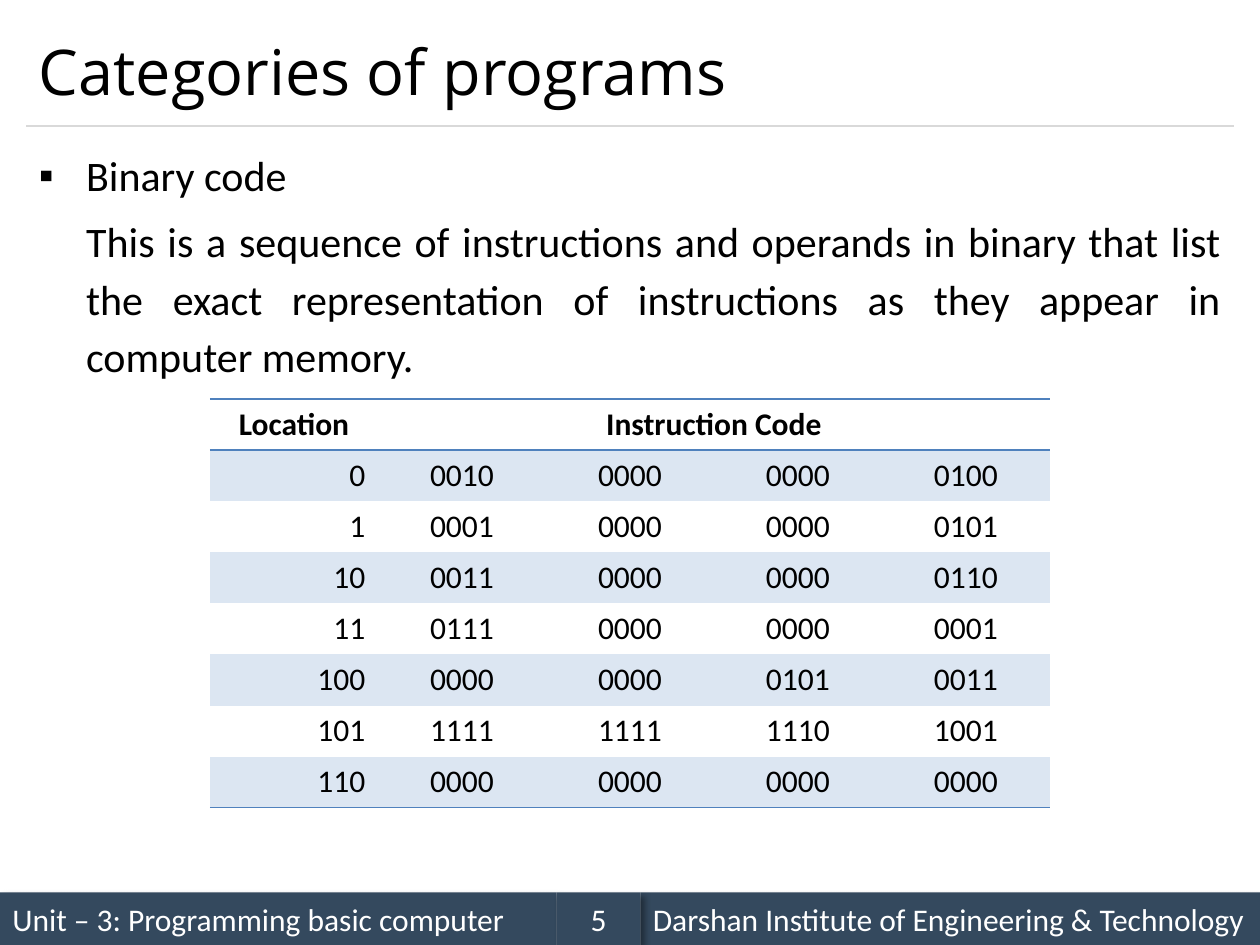
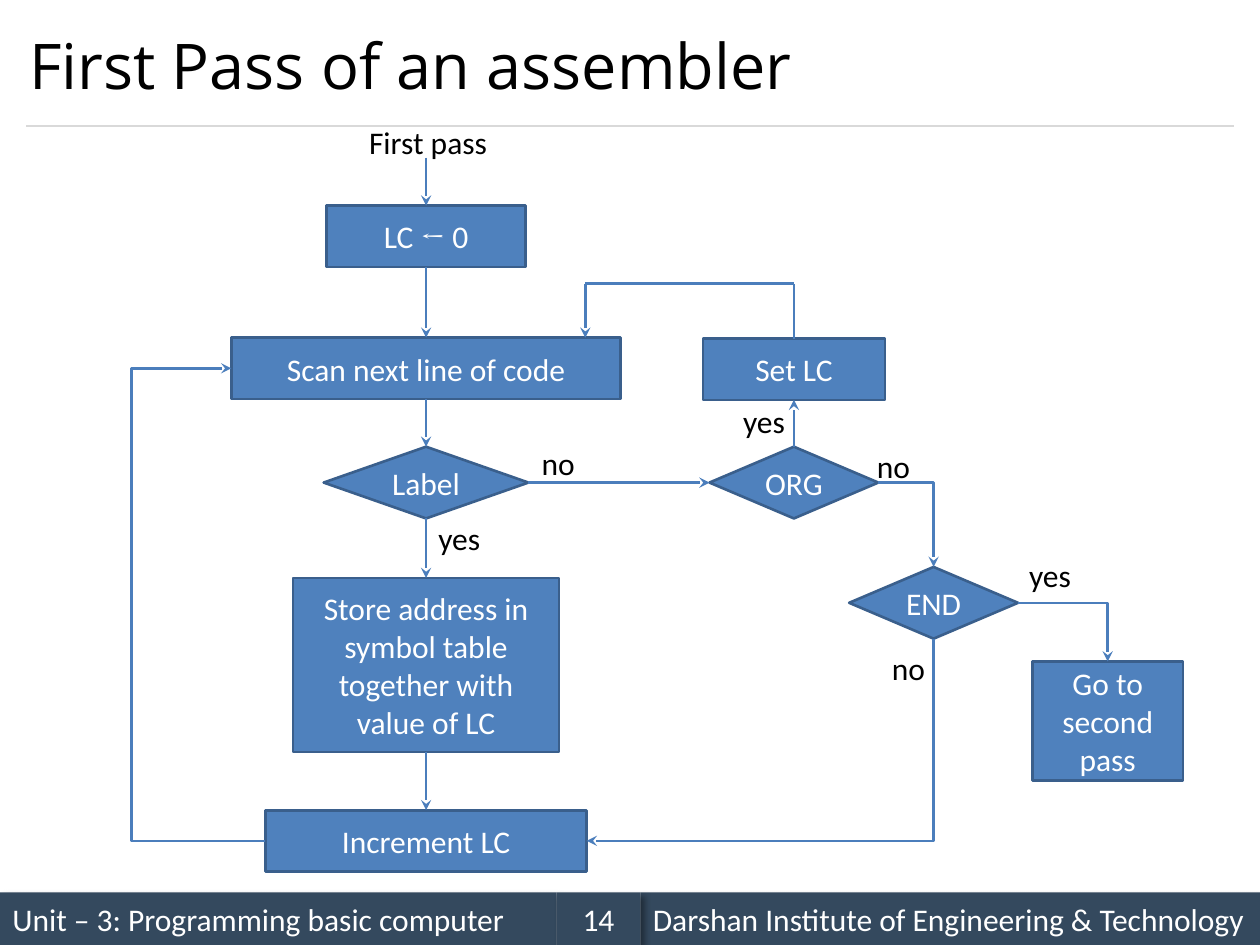
from lxml.etree import SubElement
from pptx import Presentation
from pptx.dml.color import RGBColor
from pptx.enum.shapes import MSO_CONNECTOR as Link, MSO_SHAPE as Form
from pptx.enum.text import MSO_ANCHOR as Anchor, MSO_AUTO_SIZE as Auto, PP_ALIGN as Align
from pptx.oxml.ns import qn
from pptx.util import Pt

BLACK = RGBColor(0, 0, 0)
WHITE = RGBColor(255, 255, 255)
NAVY = RGBColor(0x34, 0x49, 0x5E)
GREY = RGBColor(0xD9, 0xD9, 0xD9)
BLUE = RGBColor(0x4F, 0x81, 0xBD)
EDGE = RGBColor(0x3A, 0x5F, 0x8C)
WIRE = RGBColor(0x4B, 0x7E, 0xBC)
PALE = RGBColor(0xDC, 0xE6, 0xF2)

TEXT = "Calibri"
HEAD = "Open Sans"
MATH = "Cambria"
PLAIN = "{2D5ABB26-0587-4C30-8999-92F81FD0307C}"
TOP, LEFT, FOOT, RIGHT = range(4)

UNIT = "Unit – 3: Programming basic computer"
SCHOOL = "Darshan Institute of Engineering & Technology"
STORE = "Store address in symbol table together with value of LC"
ABOUT = ("This is a sequence of instructions and operands in binary that list "
         "the exact representation of instructions as they appear in computer memory.")
CODES = [
    "0 0010 0000 0000 0100",
    "1 0001 0000 0000 0101",
    "10 0011 0000 0000 0110",
    "11 0111 0000 0000 0001",
    "100 0000 0000 0101 0011",
    "101 1111 1111 1110 1001",
    "110 0000 0000 0000 0000",
]

MAIN, SIDE, LAST, EXIT = 168.5, 378.7, 458.5, 558
NODES = {
    "init": ("LC ← 0", MAIN, 50.5, 114, 35, Form.RECTANGLE),
    "scan": ("Scan next line of code", MAIN, 126, 222.5, 35, Form.RECTANGLE),
    "label": ("Label", MAIN, 188.3, 117, 41, Form.FLOWCHART_DECISION),
    "store": (STORE, MAIN, 263.3, 152, 99.4, Form.RECTANGLE),
    "step": ("Increment LC", MAIN, 396, 183.6, 35, Form.RECTANGLE),
    "set": ("Set LC", SIDE, 126.5, 104, 35, Form.RECTANGLE),
    "org": ("ORG", SIDE, 188.3, 96.5, 41, Form.FLOWCHART_DECISION),
    "end": ("END", LAST, 257, 96.5, 41, Form.FLOWCHART_DECISION),
    "next": ("Go to second pass", EXIT, 311, 86, 68, Form.RECTANGLE),
}
JOINS = [
    ("init", FOOT, "scan", TOP),
    ("scan", FOOT, "label", TOP),
    ("label", RIGHT, "org", LEFT),
    ("label", FOOT, "store", TOP),
    ("store", FOOT, "step", TOP),
    ("org", TOP, "set", FOOT),
]
TAGS = [
    ("First pass", 128.8, 0, 83),
    ("no", 227.4, 183, 34),
    ("no", 419, 185, 34),
    ("no", 427.6, 300.2, 34),
    ("yes", 168.4, 226, 39),
    ("yes", 342.6, 159, 39),
    ("yes", 506, 247, 39),
]


def place(shape, box):
    shape.left, shape.top, shape.width, shape.height = map(Pt, box)


def style(para, size, color, align=Align.LEFT, name=TEXT, bold=False):
    para.alignment = align
    font = para.font
    font.name, font.size, font.bold = name, Pt(size), bold
    font.color.rgb = color


def block(slide, form, box, fill, edge=None):
    shape = slide.shapes.add_shape(form, *map(Pt, box))
    shape.fill.solid()
    shape.fill.fore_color.rgb = fill
    if edge is None:
        shape.line.fill.background()
    else:
        shape.line.color.rgb = edge
        shape.line.width = Pt(1.5)
    shape.shadow.inherit = False
    shape.text_frame.vertical_anchor = Anchor.MIDDLE
    return shape


def wire(slide, start, stop, color=WIRE, width=1.5, arrow="tailEnd", kind=Link.STRAIGHT):
    line = slide.shapes.add_connector(kind, *map(Pt, (*start, *stop)))
    line.line.color.rgb = color
    line.line.width = Pt(width)
    props = line._element.spPr
    if arrow:
        SubElement(props.find(qn("a:ln")), qn("a:" + arrow), type="stealth")
    SubElement(props, qn("a:effectLst"))
    return line


def port(shape, side):
    x, y, w, h = (v.pt for v in (shape.left, shape.top, shape.width, shape.height))
    return [(x + w / 2, y), (x, y + h / 2), (x + w / 2, y + h), (x + w, y + h / 2)][side]


def join(slide, one, out, two, into, **look):
    line = wire(slide, port(one, out), port(two, into), **look)
    line.begin_connect(one, out)
    line.end_connect(two, into)
    return line


def bend(slide, one, out, two, into, arrow="tailEnd"):
    line = join(slide, one, out, two, into, arrow=arrow, kind=Link.ELBOW)
    line._element.spPr.find(qn("a:prstGeom")).set("prst", "bentConnector2")


def loop(slide, one, two, edge):
    line = join(slide, one, LEFT, two, LEFT, kind=Link.ELBOW)
    start, stop = port(one, LEFT)[0], port(two, LEFT)[0]
    ratio = round((start - edge) / (start - stop) * 100000)
    geom = line._element.spPr.find(qn("a:prstGeom"))
    guides = geom.find(qn("a:avLst"))
    if guides is None:
        guides = SubElement(geom, qn("a:avLst"))
    SubElement(guides, qn("a:gd"), name="adj1", fmla=f"val {ratio}")


def footer(slide, box, page):
    x, y, w, h = box
    mid, wide = 318, 48
    parts = [
        (UNIT, x, mid, Align.LEFT),
        (SCHOOL, x + mid + wide, w - mid - wide, Align.LEFT),
        (str(page), x + mid, wide, Align.CENTER),
    ]
    for text, left, width, align in parts:
        band = block(slide, Form.RECTANGLE, (left, y, width, h), NAVY)
        glow = SubElement(band._element.spPr.find(qn("a:effectLst")), qn("a:outerShdw"),
                          blurRad=str(Pt(4)), dist=str(Pt(3)), dir="2700000")
        tint = SubElement(glow, qn("a:srgbClr"), val=str(BLACK))
        SubElement(tint, qn("a:alpha"), val="40000")
        para = band.text_frame.paragraphs[0]
        para.text = text
        style(para, 18, WHITE, align)


def frame(deck, layout, title, box, page):
    slide = deck.slides.add_slide(deck.slide_layouts[layout])
    footer(slide, (0, 510, 720, 30), page)
    wire(slide, (15, 72), (705, 72), GREY, 0.75, None)
    head = slide.shapes.title
    place(head, box)
    head.text_frame.text = title
    head.text_frame.vertical_anchor = Anchor.MIDDLE
    head.text_frame.auto_size = Auto.NONE
    style(head.text_frame.paragraphs[0], 36, BLACK, name=HEAD)
    return slide


def notes(slide, box):
    body = slide.placeholders[1]
    place(body, box)
    text = body.text_frame
    text.auto_size = Auto.NONE
    text.text = "Binary code\n" + ABOUT
    looks = [(-27, 0, Align.LEFT), (0, 4.8, Align.JUSTIFY)]
    for para, (indent, gap, align) in zip(text.paragraphs, looks):
        para.line_spacing = 1.14
        para.space_before = Pt(gap)
        props = para._p.get_or_add_pPr()
        props.set("marL", str(Pt(27)))
        props.set("indent", str(Pt(indent)))
        if indent:
            SubElement(props, qn("a:buFont"), typeface="Arial")
            SubElement(props, qn("a:buChar"), char="▪")
        else:
            SubElement(props, qn("a:buNone"))
        style(para, 24, BLACK, align)


def border(cell, *sides):
    props = cell._tc.get_or_add_tcPr()
    for side in sides:
        line = SubElement(props, qn("a:" + side), w=str(Pt(1)))
        fill = SubElement(line, qn("a:solidFill"))
        SubElement(fill, qn("a:srgbClr"), val=str(BLUE))


def listing(slide, box):
    rows = [["Location", "Instruction Code", "", "", ""]] + [row.split() for row in CODES]
    table = slide.shapes.add_table(len(rows), len(rows[0]), *map(Pt, box)).table
    table.first_row = table.horz_banding = False
    table._tbl.tblPr.find(qn("a:tableStyleId")).text = PLAIN
    for i, row in enumerate(rows):
        for j, text in enumerate(row):
            cell = table.cell(i, j)
            if i == 0:
                border(cell, "lnT", "lnB")
            elif i == len(rows) - 1:
                border(cell, "lnB")
            if i % 2:
                cell.fill.solid()
                cell.fill.fore_color.rgb = PALE
            else:
                cell.fill.background()
            para = cell.text_frame.paragraphs[0]
            para.text = text
            style(para, 18, BLACK, Align.RIGHT if i and not j else Align.CENTER, bold=i == 0)
    table.cell(0, 1).merge(table.cell(0, len(rows[0]) - 1))


def node(slide, text, box, form):
    shape = block(slide, form, box, BLUE, EDGE)
    para = shape.text_frame.paragraphs[0]
    for piece in filter(None, text.partition("←")):
        run = para.add_run()
        run.text = piece
        if piece == "←":
            run.font.name = MATH
    style(para, 18, WHITE, Align.CENTER)
    return shape


def tag(slide, text, box):
    label = slide.shapes.add_textbox(*map(Pt, box)).text_frame
    label.word_wrap = False
    label.auto_size = Auto.SHAPE_TO_FIT_TEXT
    label.text = text
    style(label.paragraphs[0], 18, BLACK)


def flow(slide, box):
    x, y = box[:2]
    nodes = {}
    for name, (text, mid, top, w, h, form) in NODES.items():
        nodes[name] = node(slide, text, (x + mid - w / 2, y + top, w, h), form)
    for one, out, two, into in JOINS:
        join(slide, nodes[one], out, nodes[two], into)
    bend(slide, nodes["org"], RIGHT, nodes["end"], TOP)
    bend(slide, nodes["end"], RIGHT, nodes["next"], TOP)
    bend(slide, nodes["step"], RIGHT, nodes["end"], FOOT, "headEnd")
    loop(slide, nodes["step"], nodes["scan"], x)
    entry = wire(slide, (x + MAIN, y + 23), port(nodes["init"], TOP))
    entry.end_connect(nodes["init"], TOP)

    back, rise = x + 259.5, y + 95
    start = port(nodes["set"], TOP)
    turns = [start, (start[0], rise), (back, rise), (back, nodes["scan"].top.pt)]
    legs = [wire(slide, a, b, arrow=end)
            for a, b, end in zip(turns, turns[1:], (None, None, "tailEnd"))]
    legs[0].begin_connect(nodes["set"], TOP)
    for text, left, top, w in TAGS:
        tag(slide, text, (x + left, y + top, w, 29))


def main():
    deck = Presentation()
    deck.slide_width, deck.slide_height = Pt(720), Pt(540)
    slide = frame(deck, 1, "Categories of programs", (15, 8.6, 690, 63.4), 5)
    notes(slide, (15, 78, 690, 420))
    listing(slide, (120, 228, 480, 233.28))
    slide = frame(deck, 5, "First Pass of an assembler", (9.4, 5, 690, 63.4), 14)
    flow(slide, (75, 67, 602, 432))
    deck.save("out.pptx")


if __name__ == "__main__":
    main()
